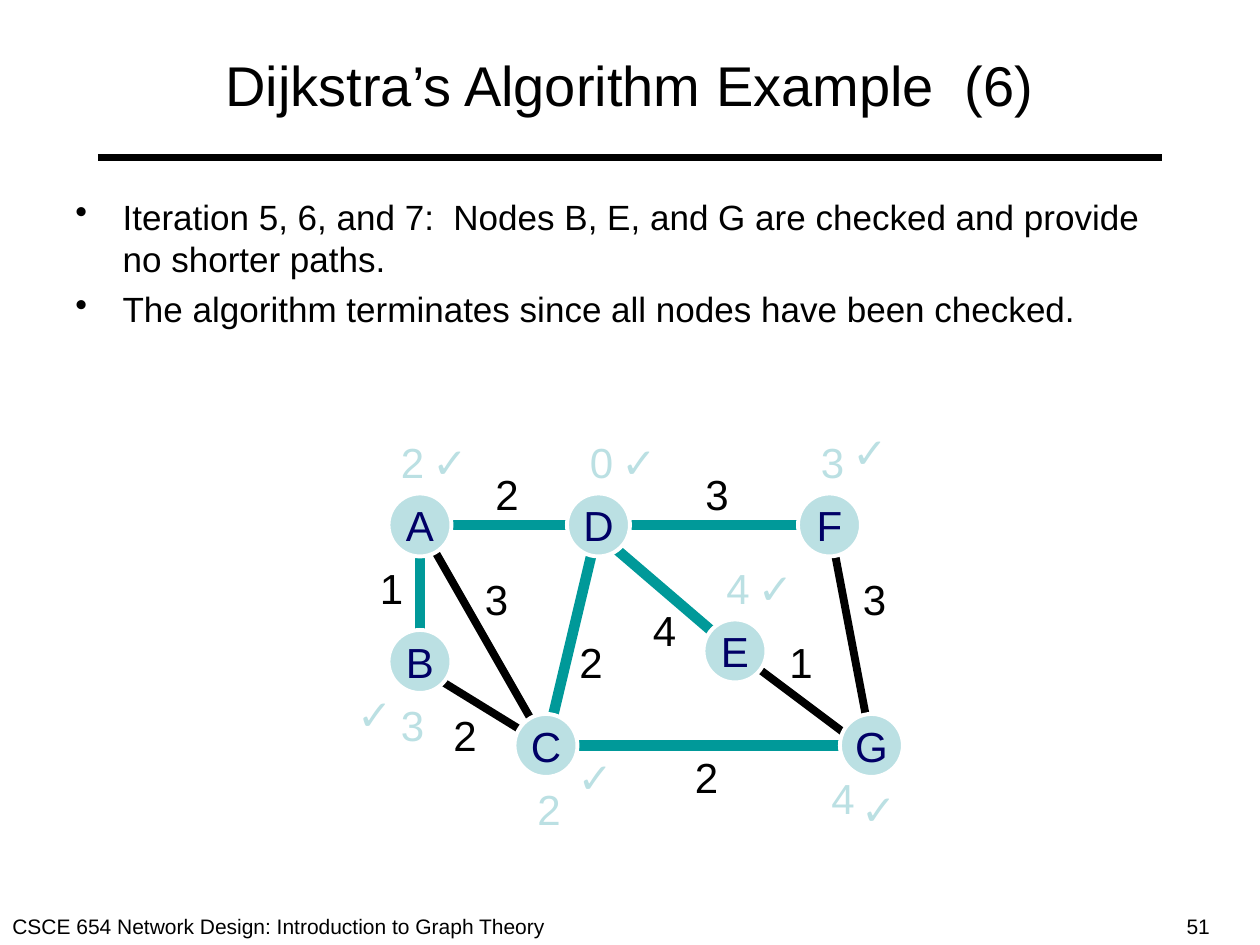
import dataclasses

import pptx
import pptx.dml.color
import pptx.enum.shapes
import pptx.enum.text
import pptx.oxml.ns
import pptx.util
from lxml import etree

Pt = pptx.util.Pt
ALIGN = pptx.enum.text.PP_ALIGN


@dataclasses.dataclass(frozen=True)
class Theme:
    font: str = "Arial"
    ink: str = "000000"
    paper: str = "FFFFFF"
    node_fill: str = "BBE0E3"
    node_letter: str = "000066"
    tree: str = "009999"
    title_size: int = 32
    body_size: int = 20
    graph_size: int = 24
    footer_size: int = 12
    line: float = 4.5
    tree_line: float = 6
    node_line: float = 2.25


THEME = Theme()
NODE_SIZE = 36
LABEL_HEIGHT = 36
DIGIT_WIDTH, CHECK_WIDTH = 27.4, 34

# Node: centre, final distance and its place, place of the check mark
NODES = {
    "A": ((240, 300), "2", (222, 246), (240, 246)),
    "B": ((240, 378), "3", (222, 396), (197, 390)),
    "C": ((312, 426), "2", (300, 444), (323, 426)),
    "D": ((342, 300), "0", (330, 246), (348, 246)),
    "E": ((420, 372), "4", (408, 318), (426, 318)),
    "F": ((474, 300), "3", (462, 246), (480, 240)),
    "G": ((498, 426), "4", (468, 438), (485, 444)),
}

# Edge: ends, sideways shift of each end, weight and its place, in shortest-path tree
EDGES = [
    ("GF", (0, 0), "3", (486, 324), False),
    ("GE", (-6, 0), "1", (444, 360), False),
    ("GC", (-6, 6), "2", (390, 426), True),
    ("FD", (-6, 0), "3", (396, 264), True),
    ("CD", (0, 0), "2", (324, 360), True),
    ("AC", (0, 0), "3", (270, 324), False),
    ("DA", (0, -6), "2", (276, 264), True),
    ("BA", (0, 0), "1", (210, 318), True),
    ("ED", (0, -6), "4", (366, 342), True),
    ("BC", (-6, 0), "2", (252, 402), False),
]

BODY = [
    "Iteration 5, 6, and 7:  Nodes B, E, and G are checked and provide no shorter paths.",
    "The algorithm terminates since all nodes have been checked.",
]


def rgb(value):
    return pptx.dml.color.RGBColor.from_string(value)


def add_run(paragraph, text, size, color):
    run = paragraph.add_run()
    run.text = text
    run.font.name = THEME.font
    run.font.size = Pt(size)
    run.font.color.rgb = rgb(color)


def add_label(slide, place, width, height, text, size, color):
    box = slide.shapes.add_textbox(*map(Pt, (*place, width, height)))
    box.text_frame.word_wrap = False
    add_run(box.text_frame.paragraphs[0], text, size, color)


def add_line(slide, start, end, color, width):
    line = slide.shapes.add_connector(
        pptx.enum.shapes.MSO_CONNECTOR.STRAIGHT, *map(Pt, (*start, *end)))
    line.line.color.rgb = rgb(color)
    line.line.width = Pt(width)
    properties = line._element.spPr
    etree.SubElement(properties, pptx.oxml.ns.qn("a:effectLst"))


def add_title(slide, text):
    title = slide.shapes.title
    title.left, title.top, title.width, title.height = map(Pt, (36, 12, 648, 72))
    frame = title.text_frame
    frame.auto_size = pptx.enum.text.MSO_AUTO_SIZE.NONE
    frame.vertical_anchor = pptx.enum.text.MSO_ANCHOR.MIDDLE
    frame.paragraphs[0].alignment = ALIGN.CENTER
    add_run(frame.paragraphs[0], text, THEME.title_size, THEME.ink)


def add_bullets(slide, items):
    frame = slide.shapes.add_textbox(*map(Pt, (36, 108, 648, 374))).text_frame
    frame.word_wrap = True
    for index, item in enumerate(items):
        paragraph = frame.add_paragraph() if index else frame.paragraphs[0]
        properties = paragraph._p.get_or_add_pPr()
        properties.set("marL", str(Pt(27)))
        properties.set("indent", str(-Pt(27)))
        bullet = etree.SubElement(properties, pptx.oxml.ns.qn("a:buChar"))
        bullet.set("char", "•")
        paragraph.space_before = Pt(5 if index else 0)
        add_run(paragraph, item, THEME.body_size, THEME.ink)


def add_node(slide, letter, centre):
    left, top = (value - NODE_SIZE / 2 for value in centre)
    node = slide.shapes.add_shape(
        pptx.enum.shapes.MSO_SHAPE.OVAL,
        *map(Pt, (left, top, NODE_SIZE, NODE_SIZE)))
    node.shadow.inherit = False
    node.fill.solid()
    node.fill.fore_color.rgb = rgb(THEME.node_fill)
    node.line.color.rgb = rgb(THEME.paper)
    node.line.width = Pt(THEME.node_line)
    frame = node.text_frame
    frame.word_wrap = False
    frame.vertical_anchor = pptx.enum.text.MSO_ANCHOR.MIDDLE
    frame.paragraphs[0].alignment = ALIGN.CENTER
    add_run(frame.paragraphs[0], letter, THEME.graph_size, THEME.node_letter)


def add_edge(slide, ends, shifts, in_tree):
    start, end = ((NODES[name][0][0] + shift, NODES[name][0][1])
                  for name, shift in zip(ends, shifts))
    color, width = ((THEME.tree, THEME.tree_line) if in_tree
                    else (THEME.ink, THEME.line))
    add_line(slide, start, end, color, width)


def add_graph(slide):
    # Edges lie behind the nodes
    for ends, shifts, _, _, in_tree in EDGES:
        add_edge(slide, ends, shifts, in_tree)
    for letter, (centre, *_) in NODES.items():
        add_node(slide, letter, centre)

    # Edge weights
    for _, _, weight, place, _ in EDGES:
        add_label(slide, place, DIGIT_WIDTH, LABEL_HEIGHT, weight,
                  THEME.graph_size, THEME.ink)

    # Distances and check marks
    for _, distance, distance_place, check_place in NODES.values():
        add_label(slide, distance_place, DIGIT_WIDTH, LABEL_HEIGHT, distance,
                  THEME.graph_size, THEME.node_fill)
        add_label(slide, check_place, CHECK_WIDTH, LABEL_HEIGHT, "✓",
                  THEME.graph_size, THEME.node_fill)


def main():
    deck = pptx.Presentation()
    deck.slide_width, deck.slide_height = Pt(720), Pt(540)
    slide = deck.slides.add_slide(deck.slide_layouts.get_by_name("Title Only"))

    # Header rule and footer
    add_line(slide, (56, 90), (664, 90), THEME.ink, THEME.line)
    add_label(slide, (0, 518.4), 319, 21.6,
              "CSCE 654 Network Design: Introduction to Graph Theory",
              THEME.footer_size, THEME.ink)
    add_label(slide, (671, 518.4), 69, 21.6, "51", THEME.footer_size, THEME.ink)

    # Title, explanation and graph
    add_title(slide, "Dijkstra’s Algorithm Example  (6)")
    add_bullets(slide, BODY)
    add_graph(slide)

    deck.save("out.pptx")


if __name__ == "__main__":
    main()
